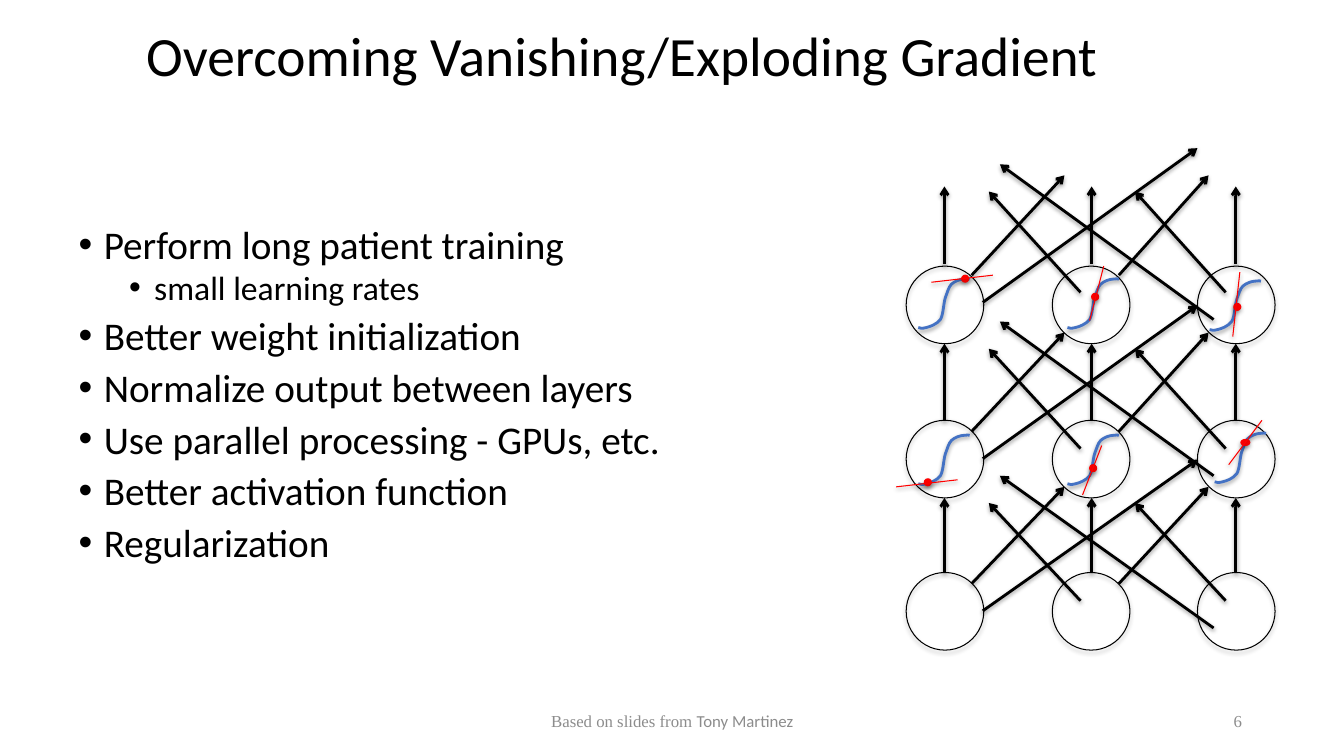
from typing import NamedTuple

from lxml import etree
from pptx import Presentation
from pptx.dml.color import RGBColor
from pptx.enum import shapes, text
from pptx.oxml import ns
from pptx.util import Inches, Pt

BLACK = RGBColor(0x00, 0x00, 0x00)
GRAY = RGBColor(0x8C, 0x8C, 0x8C)
RED = RGBColor(0xFF, 0x00, 0x00)
BLUE = RGBColor(0x44, 0x72, 0xC4)

Point = tuple[float, float]


class Bullet(NamedTuple):
    words: str
    level: int = 0


class BulletStyle(NamedTuple):
    size: float
    indent: float
    space_before: float


class Layer(NamedTuple):
    top: float
    arrow_base: float
    rise: float


class Arrow(NamedTuple):
    start_x: float
    start_offset: float
    end_x: float
    end_offset: float


class Neuron(NamedTuple):
    curve: Point
    dot: Point
    tangent: tuple[Point, Point]
    dot_size: Point = (0.07, 0.07)


BULLETS = [
    Bullet("Perform long patient training"),
    Bullet("small learning rates", 1),
    Bullet("Better weight initialization"),
    Bullet("Normalize output between layers"),
    Bullet("Use parallel processing - GPUs, etc."),
    Bullet("Better activation function"),
    Bullet("Regularization"),
]
BULLET_STYLES = [BulletStyle(28, 0.25, 10), BulletStyle(24, 0.75, 5)]
COLUMNS = [8.99, 10.44, 11.88]
DIAMETER = 0.77
LAYERS = [Layer(5.68, 5.68, 0.74), Layer(4.17, 4.17, 0.76), Layer(2.64, 2.62, 0.77)]
ARROWS = [
    Arrow(9.64, 0.11, 10.56, -0.11),
    Arrow(11.10, 0.11, 11.99, -0.11),
    Arrow(10.83, 0, 10.83, 0),
    Arrow(9.75, 0.38, 11.88, -0.38),
    Arrow(10.72, 0.28, 9.81, 0.05),
    Arrow(12.04, 0.55, 9.92, -0.22),
    Arrow(12.16, 0.28, 11.26, 0.05),
    Arrow(12.26, 0, 12.26, 0),
    Arrow(9.37, 0, 9.37, 0),
]
NEURONS = [
    Neuron((9.11, 4.80), (9.17, 4.75), ((8.89, 4.83), (9.50, 4.76))),
    Neuron((10.59, 4.80), (10.81, 4.61), ((10.74, 4.91), (10.93, 4.42))),
    Neuron((12.05, 4.78), (12.31, 4.36), ((12.19, 4.61), (12.52, 4.17)), (0.09, 0.06)),
    Neuron((9.11, 3.25), (9.54, 2.73), ((9.24, 2.80), (9.85, 2.73))),
    Neuron((10.59, 3.25), (10.83, 2.91), ((10.81, 3.18), (10.95, 2.64))),
    Neuron((12.00, 3.27), (12.24, 3.01), ((12.23, 3.34), (12.30, 2.70))),
]
SIGMOID = [
    (0, 0), (0.02, 0.01), (0.04, 0.01), (0.08, 0),
    (0.12, -0.01), (0.18, -0.03), (0.22, -0.08),
    (0.25, -0.13), (0.25, -0.24), (0.27, -0.30),
    (0.29, -0.35), (0.30, -0.40), (0.33, -0.43),
    (0.36, -0.46), (0.42, -0.48), (0.45, -0.48),
    (0.48, -0.49), (0.51, -0.48), (0.51, -0.48),
]


def add_element(parent, tag: str, **attributes: str):
    return etree.SubElement(parent, ns.qn(tag), attributes)


def outline(shape, color: RGBColor, width: float, distance: int, opacity: int) -> None:
    shape.line.color.rgb = color
    shape.line.width = Pt(width)
    effects = add_element(shape._element.spPr, "a:effectLst")
    shadow = add_element(effects, "a:outerShdw", blurRad="40000", dist=str(distance),
                         dir="5400000", rotWithShape="0")
    shade = add_element(shadow, "a:srgbClr", val="000000")
    add_element(shade, "a:alpha", val=str(opacity * 1000))


def add_circle(slide, at: Point, size: Point, color: RGBColor, filled: bool) -> None:
    circle = slide.shapes.add_shape(shapes.MSO_SHAPE.OVAL, *map(Inches, at + size))
    if filled:
        circle.fill.solid()
        circle.fill.fore_color.rgb = color
    else:
        circle.fill.background()
    outline(circle, color, 0.75, 23000, 35)


def add_line(slide, start: Point, end: Point, color: RGBColor, width: float,
             arrow: bool = False) -> None:
    line = slide.shapes.add_connector(shapes.MSO_CONNECTOR.STRAIGHT, *map(Inches, start + end))
    outline(line, color, width, 20000, 38)
    if arrow:
        add_element(line.line._get_or_add_ln(), "a:tailEnd", type="arrow")


def bend_segments(curve) -> None:
    segments = list(curve._element.iter(ns.qn("a:lnTo")))
    contour = segments[0].getparent()
    for first in range(0, len(segments), 3):
        bend = add_element(contour, "a:cubicBezTo")
        for segment in segments[first:first + 3]:
            bend.append(segment[0])
            contour.remove(segment)


def add_sigmoid(slide, origin: Point) -> None:
    start, *controls = [(Inches(origin[0] + x), Inches(origin[1] + y)) for x, y in SIGMOID]
    builder = slide.shapes.build_freeform(*start)
    builder.add_line_segments(controls, close=False)
    curve = builder.convert_to_shape()
    bend_segments(curve)
    curve.fill.background()
    outline(curve, BLUE, 2, 20000, 38)


def place(shape, left: float, top: float, width: float, height: float) -> None:
    shape.left, shape.top = Inches(left), Inches(top)
    shape.width, shape.height = Inches(width), Inches(height)


def format_run(run, font_name: str, size: float, color: RGBColor) -> None:
    run.font.name = font_name
    run.font.size = Pt(size)
    run.font.color.rgb = color


def add_title(slide) -> None:
    title = slide.shapes.title
    place(title, 1.35, 0.25, 10.51, 0.67)
    frame = title.text_frame
    frame.text = "Overcoming Vanishing/Exploding Gradient"
    frame.auto_size = text.MSO_AUTO_SIZE.NONE
    frame.vertical_anchor = text.MSO_ANCHOR.MIDDLE
    paragraph = frame.paragraphs[0]
    paragraph.alignment = text.PP_ALIGN.LEFT
    paragraph.line_spacing = 0.9
    format_run(paragraph.runs[0], "Calibri", 39.6, BLACK)


def add_bullets(slide) -> None:
    body = slide.placeholders[1]
    place(body, 0.68, 2.23, 7.2, 3.57)
    frame = body.text_frame
    frame.text = "\n".join(bullet.words for bullet in BULLETS)
    frame.auto_size = text.MSO_AUTO_SIZE.NONE
    for paragraph, bullet in zip(frame.paragraphs, BULLETS):
        style = BULLET_STYLES[bullet.level]
        paragraph.level = bullet.level
        paragraph.line_spacing = 0.8
        paragraph.space_before = Pt(style.space_before)
        properties = paragraph._p.get_or_add_pPr()
        properties.set("marL", str(Inches(style.indent)))
        properties.set("indent", str(Inches(-0.25)))
        add_element(properties, "a:buFont", typeface="Arial")
        add_element(properties, "a:buChar", char="•")
        format_run(paragraph.runs[0], "Calibri", style.size, BLACK)


def add_footer(slide, left: float, width: float, alignment: text.PP_ALIGN,
               parts: list[tuple[str, str]]) -> None:
    frame = slide.shapes.add_textbox(*map(Inches, (left, 6.95, width, 0.4))).text_frame
    frame.word_wrap = True
    frame.vertical_anchor = text.MSO_ANCHOR.MIDDLE
    paragraph = frame.paragraphs[0]
    paragraph.alignment = alignment
    for words, font_name in parts:
        run = paragraph.add_run()
        run.text = words
        format_run(run, font_name, 12, GRAY)


def add_network(slide) -> None:
    for layer in LAYERS:
        for left in COLUMNS:
            add_circle(slide, (left, layer.top), (DIAMETER, DIAMETER), BLACK, False)
        for arrow in ARROWS:
            start = (arrow.start_x, layer.arrow_base + arrow.start_offset)
            end = (arrow.end_x, layer.arrow_base - layer.rise + arrow.end_offset)
            add_line(slide, start, end, BLACK, 2, arrow=True)
    for neuron in NEURONS:
        add_sigmoid(slide, neuron.curve)
        add_circle(slide, neuron.dot, neuron.dot_size, RED, True)
        add_line(slide, *neuron.tangent, RED, 0.75)


def main() -> None:
    presentation = Presentation()
    presentation.slide_width, presentation.slide_height = Inches(40 / 3), Inches(7.5)
    slide = presentation.slides.add_slide(presentation.slide_layouts[1])
    add_footer(slide, 4.42, 4.5, text.PP_ALIGN.CENTER,
               [("Based on slides from ", "Times New Roman"), ("Tony Martinez", "Calibri")])
    add_footer(slide, 9.42, 3, text.PP_ALIGN.RIGHT, [("6", "Times New Roman")])
    add_title(slide)
    add_bullets(slide)
    add_network(slide)
    presentation.save("out.pptx")


if __name__ == "__main__":
    main()
